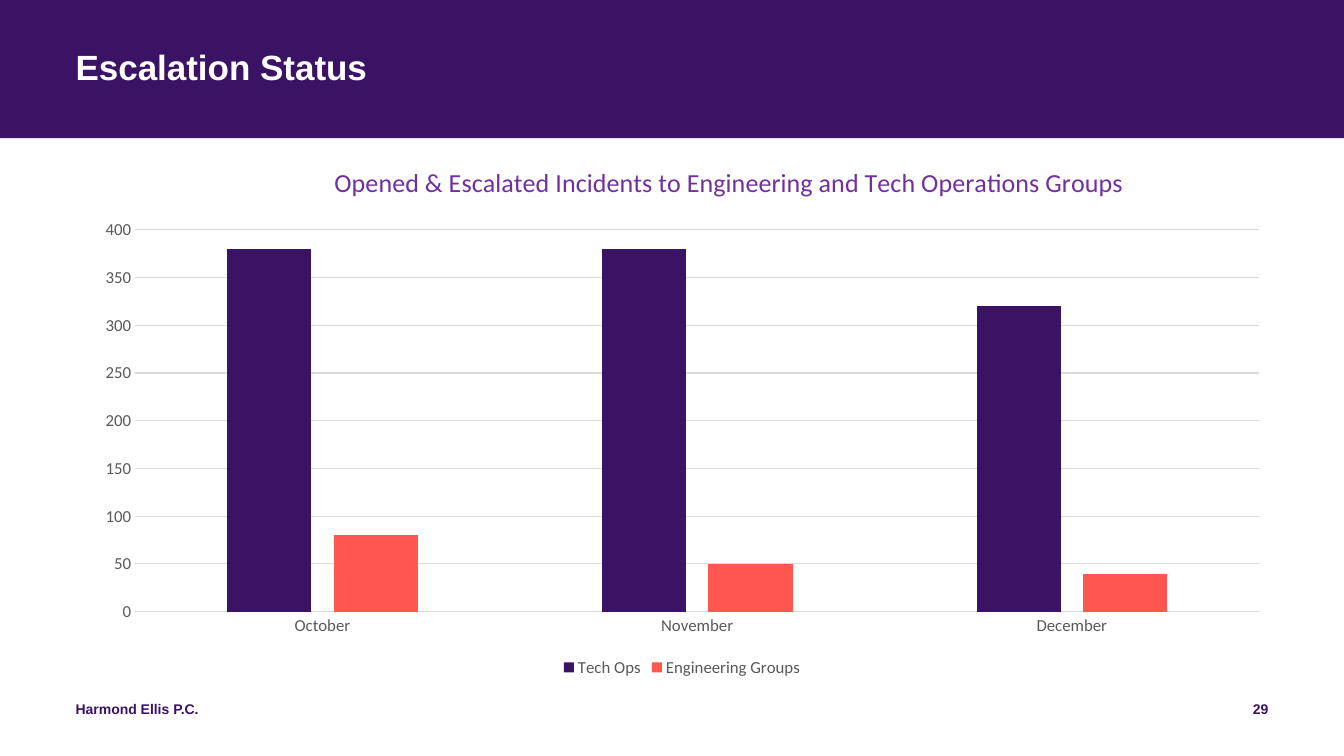
"""Build the Escalation Status slide with its clustered column chart."""
from lxml import etree
from pptx import Presentation
from pptx.chart.data import CategoryChartData
from pptx.dml.color import RGBColor
from pptx.enum.chart import XL_CHART_TYPE, XL_LEGEND_POSITION, XL_TICK_MARK
from pptx.enum.shapes import MSO_SHAPE
from pptx.enum.text import PP_ALIGN
from pptx.oxml.ns import qn
from pptx.util import Inches, Pt

COLUMN_CLUSTERED = XL_CHART_TYPE.COLUMN_CLUSTERED
LEGEND_BOTTOM = XL_LEGEND_POSITION.BOTTOM
NO_TICK = XL_TICK_MARK.NONE
RECTANGLE = MSO_SHAPE.RECTANGLE
LEFT, RIGHT = PP_ALIGN.LEFT, PP_ALIGN.RIGHT

PURPLE = RGBColor(0x3B, 0x13, 0x65)
CORAL = RGBColor(0xFF, 0x57, 0x50)
VIOLET = RGBColor(0x70, 0x30, 0xA0)
WHITE = RGBColor(0xFF, 0xFF, 0xFF)
GRAY = RGBColor(0x59, 0x59, 0x59)
LIGHT_GRAY = RGBColor(0xD9, 0xD9, 0xD9)

CHART_WIDTH, CHART_HEIGHT = 11.93, 5.27

presentation = Presentation()
presentation.slide_width = Inches(13.33)
presentation.slide_height = Inches(7.5)
slide = presentation.slides.add_slide(presentation.slide_layouts[6])


def add_text(text, left, top, width, height, size=10, color=PURPLE, align=LEFT, spacing=1.0):
    box = slide.shapes.add_textbox(Inches(left), Inches(top), Inches(width), Inches(height))
    frame = box.text_frame
    frame.word_wrap = True
    frame.margin_left = frame.margin_right = frame.margin_top = frame.margin_bottom = 0
    paragraph = frame.paragraphs[0]
    paragraph.alignment = align
    paragraph.line_spacing = spacing
    run = paragraph.add_run()
    run.text = text
    run.font.name = "Arial"
    run.font.size = Pt(size)
    run.font.bold = True
    run.font.color.rgb = color


def set_layout(owner, position, **lengths):
    for old_layout in owner.findall(qn("c:layout")):
        owner.remove(old_layout)
    layout = etree.Element(qn("c:layout"))
    manual = etree.SubElement(layout, qn("c:manualLayout"))
    if "w" in lengths:
        etree.SubElement(manual, qn("c:layoutTarget"), val="inner")
    for axis_name in ("x", "y"):
        etree.SubElement(manual, qn(f"c:{axis_name}Mode"), val="edge")
    for name, length in lengths.items():
        whole = CHART_WIDTH if name in "xw" else CHART_HEIGHT
        etree.SubElement(manual, qn(f"c:{name}"), val=str(length / whole))
    owner.insert(position, layout)


banner = slide.shapes.add_shape(RECTANGLE, 0, 0, Inches(13.33), Inches(1.37))
banner.shadow.inherit = False
banner.fill.solid()
banner.fill.fore_color.rgb = PURPLE
banner.line.fill.background()

add_text("Harmond Ellis P.C.", 0.75, 6.95, 4.5, 0.4)
add_text("29", 9.58, 6.95, 3, 0.4, align=RIGHT)
add_text("Escalation Status", 0.75, 0.5, 11.83, 0.81, size=25, color=WHITE, spacing=0.9)

chart_data = CategoryChartData()
chart_data.categories = ["October", "November", "December"]
chart_data.add_series("Tech Ops", [380, 380, 320])
chart_data.add_series("Engineering Groups", [80, 50, 40])
chart = slide.shapes.add_chart(
    COLUMN_CLUSTERED, Inches(0.8), Inches(1.49),
    Inches(CHART_WIDTH), Inches(CHART_HEIGHT), chart_data,
).chart
chart.font.name = "Calibri"
chart.font.size = Pt(12)
chart.font.color.rgb = GRAY

chart.has_title = True
title_frame = chart.chart_title.text_frame
title_frame.text = "Opened & Escalated Incidents to Engineering and Tech Operations Groups"
title_font = title_frame.paragraphs[0].runs[0].font
title_font.name = "Calibri"
title_font.size = Pt(18.6)
title_font.bold = False
title_font.color.rgb = VIOLET
chart.chart_title.include_in_layout = False
set_layout(chart.element.xpath("./c:chart/c:title")[0], 1, x=2.47, y=0.09)
set_layout(chart.element.xpath(".//c:plotArea")[0], 0, x=0.54, y=0.79, w=11.15, h=3.79)

chart.has_legend = True
chart.legend.position = LEGEND_BOTTOM
chart.legend.include_in_layout = False

plot = chart.plots[0]
plot.gap_width = 219
plot.overlap = -27
plot.vary_by_categories = False
for series, color in zip(plot.series, (PURPLE, CORAL)):
    series.format.fill.solid()
    series.format.fill.fore_color.rgb = color

value_axis, category_axis = chart.value_axis, chart.category_axis
for axis in (value_axis, category_axis):
    axis.major_tick_mark = axis.minor_tick_mark = NO_TICK
value_axis.minimum_scale = 0
value_axis.maximum_scale = 400
value_axis.major_unit = 50
value_axis.format.line.fill.background()
for line in (category_axis.format.line, value_axis.major_gridlines.format.line):
    line.color.rgb = LIGHT_GRAY
    line.width = Pt(0.75)

presentation.save("out.pptx")
